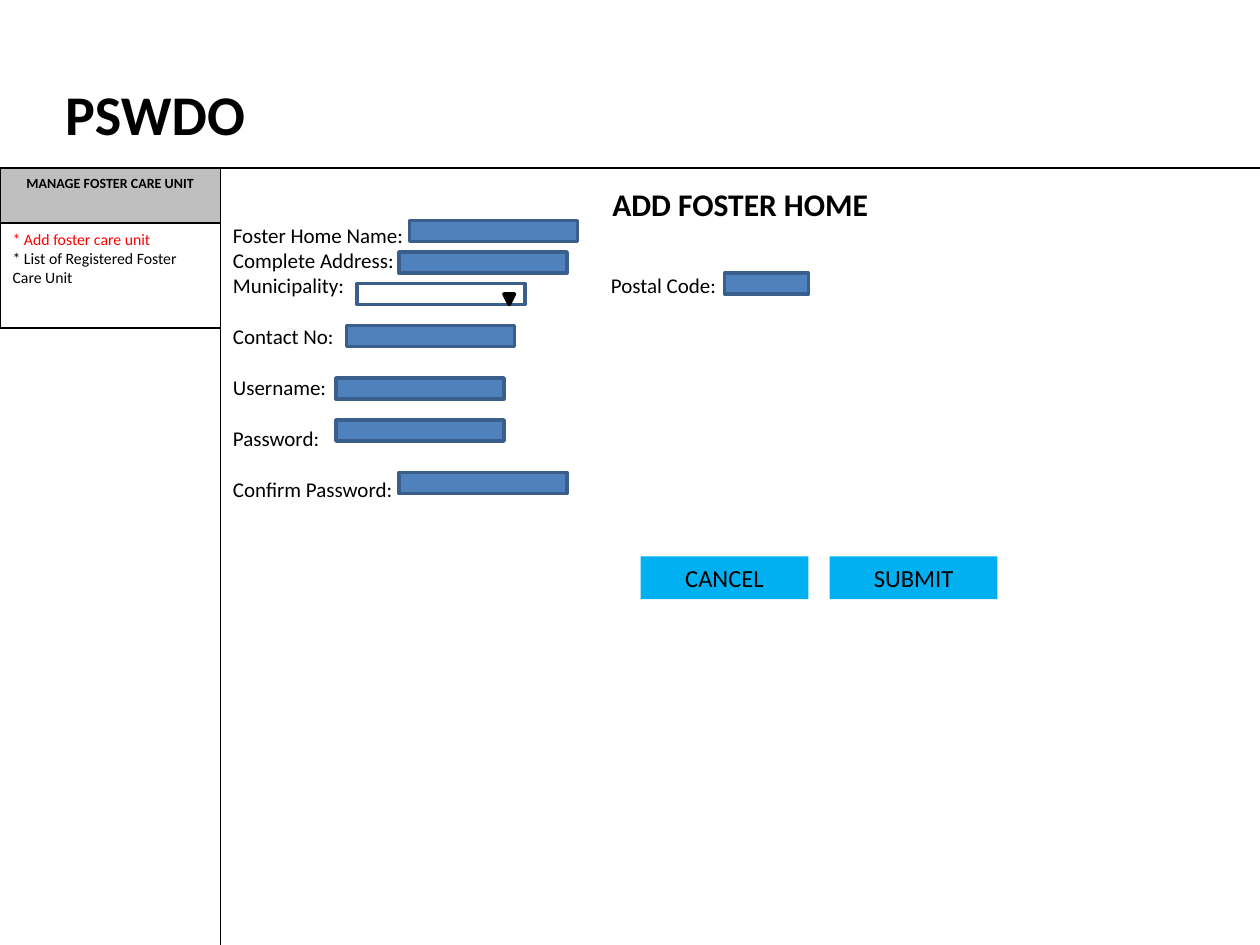
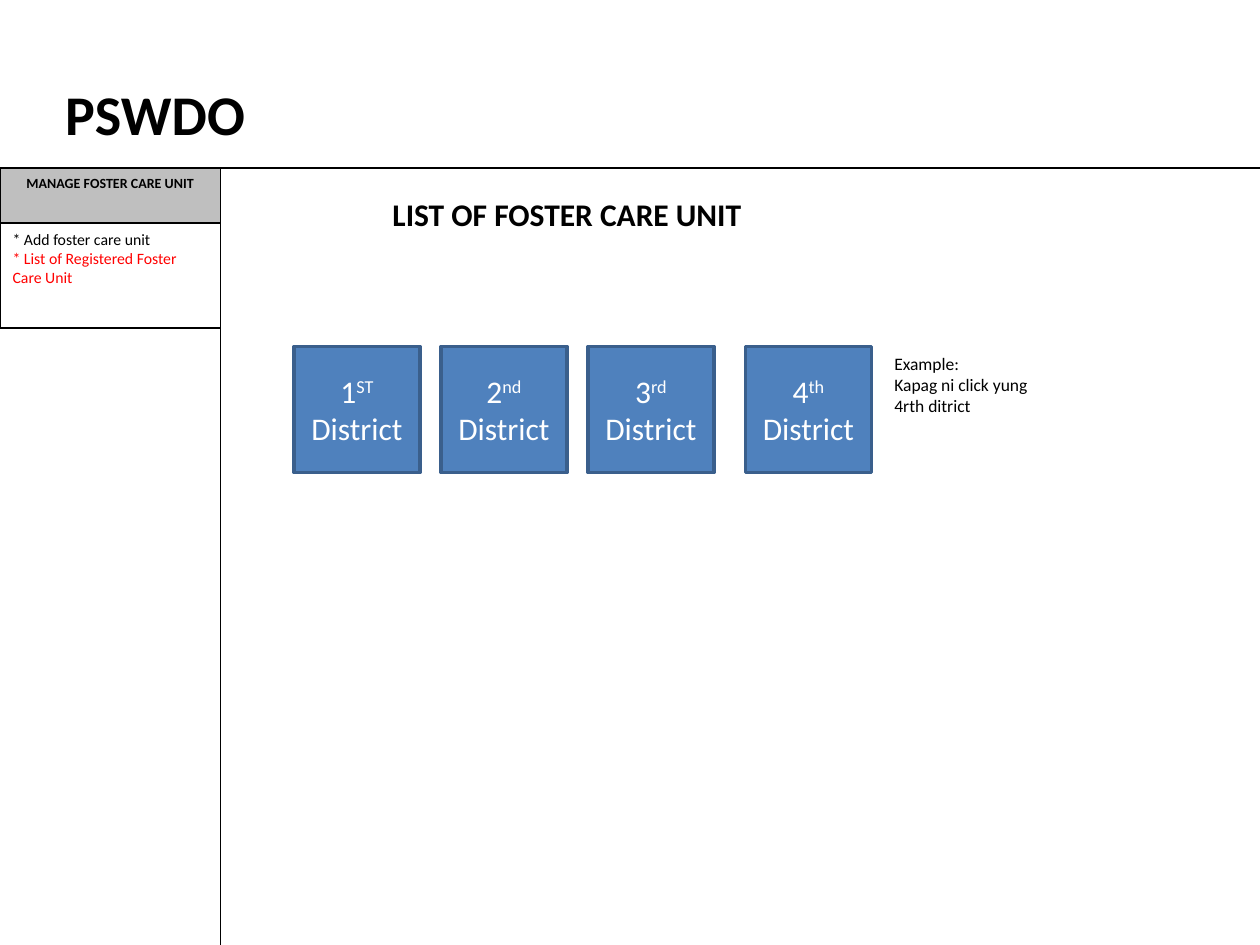
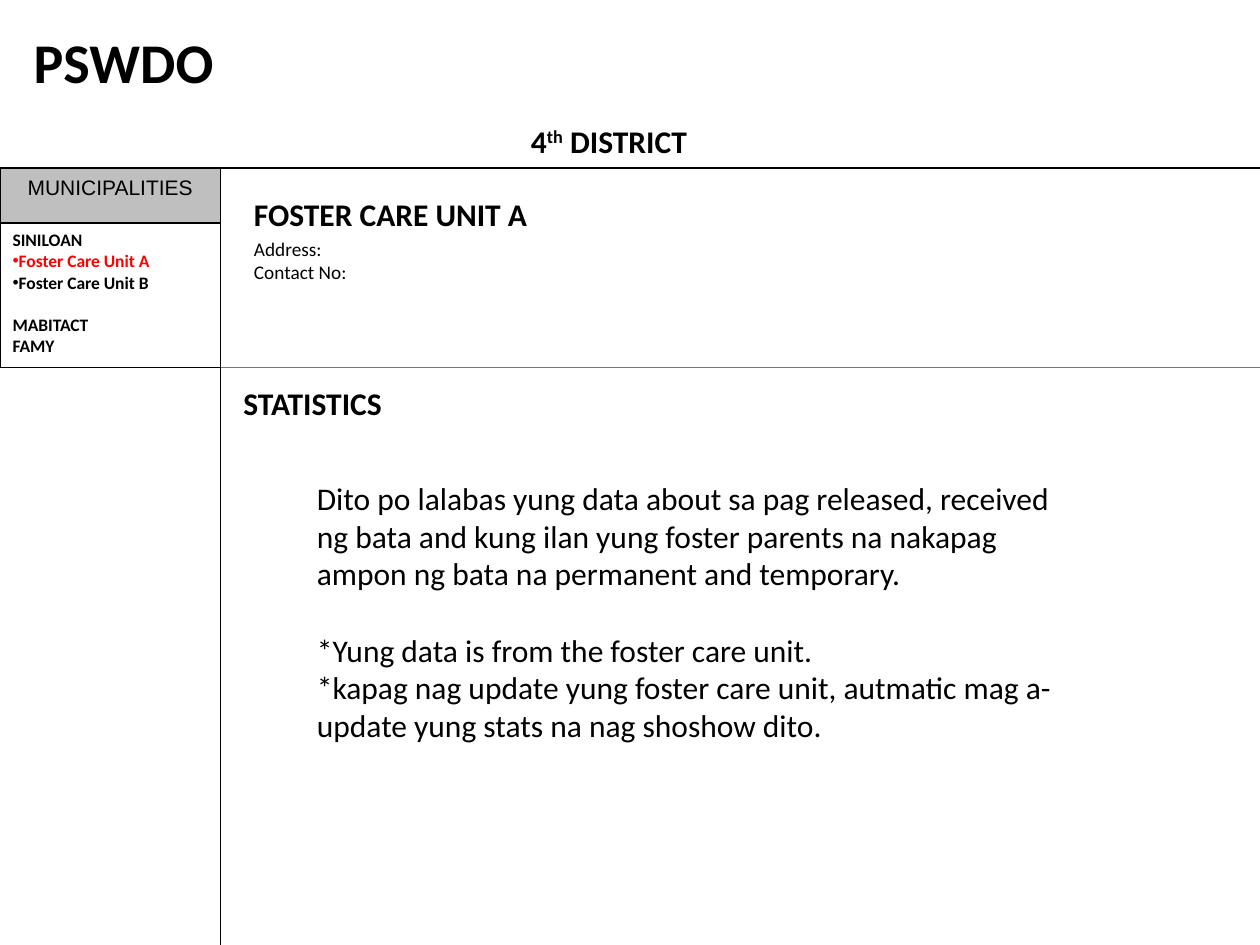
"""Build three PSWDO foster care wireframe slides."""
from pptx import Presentation
from pptx.dml.color import RGBColor
from pptx.enum.shapes import MSO_CONNECTOR, MSO_SHAPE
from pptx.enum.text import MSO_ANCHOR, MSO_AUTO_SIZE, PP_ALIGN
from pptx.oxml.ns import qn
from pptx.util import Pt
from lxml.etree import SubElement

BLACK, WHITE, RED, GREY = "000000", "FFFFFF", "FF0000", "BFBFBF"
BLUE, DARK_BLUE, RULE_BLUE, BUTTON_BLUE = "4F81BD", "3A5F8C", "4B7EBC", "00B0F0"
SIDEBAR, BAND_TOP, BAND_HEIGHT, WIDTH, HEIGHT = 126, 96, 31.5, 720, 540
LEFT, CENTER, JUSTIFY = PP_ALIGN.LEFT, PP_ALIGN.CENTER, PP_ALIGN.JUSTIFY


def paint(shape, fill, line=None, width=0.75):
    shape.shadow.inherit = False
    shape.fill.solid()
    shape.fill.fore_color.rgb = RGBColor.from_string(fill)
    if line:
        shape.line.color.rgb = RGBColor.from_string(line)
        shape.line.width = Pt(width)
    else:
        shape.line.fill.background()


def write(shape, lines, size, bold=False, align=LEFT, color=BLACK,
          font="Calibri", anchor=MSO_ANCHOR.TOP):
    frame = shape.text_frame
    frame.word_wrap = True
    frame.auto_size = MSO_AUTO_SIZE.NONE
    frame.vertical_anchor = anchor
    for number, line in enumerate(lines):
        paragraph = frame.add_paragraph() if number else frame.paragraphs[0]
        paragraph.alignment = align
        paragraph.space_before = Pt(0)
        for part, words in enumerate(line.split("^")):
            run = paragraph.add_run()
            run.text = words
            run.font.name = font
            run.font.size = Pt(size)
            run.font.bold = bold
            run.font.color.rgb = RGBColor.from_string(color)
            if part % 2:
                run.font._element.set("baseline", "30000")
    return frame.paragraphs


deck = Presentation()
deck.slide_width, deck.slide_height = Pt(WIDTH), Pt(HEIGHT)

unit_band = ("MANAGE FOSTER CARE UNIT", 8, True, "Calibri")
unit_menu = ["* Add foster care unit", "* List of Registered Foster Care Unit"]
town_band = ("MUNICIPALITIES", 12, False, "Arial")
town_menu = ["SINILOAN", "Foster Care Unit A", "Foster Care Unit B", "MABITACT", "FAMY"]
frame_rules = [(SIDEBAR, BAND_TOP, SIDEBAR, HEIGHT, BLACK), (0, BAND_TOP, WIDTH, BAND_TOP, BLACK)]
unit_rule = (SIDEBAR, 210, WIDTH, 210, RULE_BLUE)

pages = [
    ((30, 42), unit_band, unit_menu, 9, False, 0, 60, frame_rules),
    ((30, 42), unit_band, unit_menu, 9, False, 1, 60, frame_rules),
    ((12, 12), town_band, town_menu, 10, True, 1, 82.5, frame_rules + [unit_rule]),
]
slides, menus = [], []
for (left, top), band, entries, size, bold, current, depth, rules in pages:
    slide = deck.slides.add_slide(deck.slide_layouts[1])
    slides.append(slide)
    title, menu = slide.placeholders
    title.left, title.top, title.width, title.height = Pt(left), Pt(top), Pt(216), Pt(46)
    write(title, ["PSWDO"], 32, True)

    menu.left, menu.top = Pt(0), Pt(BAND_TOP + BAND_HEIGHT)
    menu.width, menu.height = Pt(SIDEBAR), Pt(depth)
    menu.fill.solid()
    menu.fill.fore_color.rgb = RGBColor.from_string(WHITE)
    menu.line.color.rgb = RGBColor.from_string(BLACK)
    menu.line.width = Pt(0.75)
    menu_lines = write(menu, entries, size, bold)
    menu_lines[current].runs[0].font.color.rgb = RGBColor.from_string(RED)
    for entry in menu_lines:
        properties = entry._p.get_or_add_pPr()
        properties.set("marL", "0")
        properties.set("indent", "0")
        if entry.text.startswith("Foster"):
            SubElement(properties, qn("a:buChar")).set("char", "•")
        else:
            SubElement(properties, qn("a:buNone"))
    menus.append(menu_lines)

    heading, heading_size, heading_bold, heading_font = band
    sidebar_band = slide.shapes.add_shape(
        MSO_SHAPE.RECTANGLE, Pt(0), Pt(BAND_TOP), Pt(SIDEBAR), Pt(BAND_HEIGHT))
    paint(sidebar_band, GREY, BLACK)
    write(sidebar_band, [heading], heading_size, heading_bold, CENTER, font=heading_font)

    for x1, y1, x2, y2, color in rules:
        rule = slide.shapes.add_connector(MSO_CONNECTOR.STRAIGHT, Pt(x1), Pt(y1), Pt(x2), Pt(y2))
        rule.line.color.rgb = RGBColor.from_string(color)
        rule.line.width = Pt(0.75)
        SubElement(rule._element.spPr, qn("a:effectLst"))

add_home, unit_list, district = slides
menus[2][3].space_before = Pt(12.2)

form = add_home.shapes.add_textbox(Pt(SIDEBAR), Pt(102), Pt(594), Pt(252))
write(form, ["ADD FOSTER HOME"], 18, True, CENTER)
labels = ["Foster Home Name:", "Complete Address:", "Municipality:\tPostal Code:",
          "Contact No:", "Username:", "Password:", "Confirm Password:"]
for number, label in enumerate(labels):
    field_line = form.text_frame.add_paragraph()
    field_line.alignment = JUSTIFY
    field_line.space_before = Pt(14.65 if number > 2 else 0)
    run = field_line.add_run()
    run.text = label
    run.font.name = "Calibri"
    run.font.size = Pt(12)
    run.font.color.rgb = RGBColor.from_string(BLACK)
    if "\t" in label:
        tabs = SubElement(field_line._p.get_or_add_pPr(), qn("a:tabLst"))
        stop = SubElement(tabs, qn("a:tab"))
        stop.set("pos", str(Pt(216)))
        stop.set("algn", "l")

fields = [(234, 126, 96, BLUE), (228, 144, 96, BLUE), (204, 162, 96, WHITE),
          (198, 186, 96, BLUE), (414, 156, 48, BLUE), (192, 216, 96, BLUE),
          (192, 240, 96, BLUE), (228, 270, 96, BLUE)]
for left, top, width, fill in fields:
    field = add_home.shapes.add_shape(MSO_SHAPE.RECTANGLE, Pt(left), Pt(top), Pt(width), Pt(12))
    paint(field, fill, DARK_BLUE, 2)
dropdown = add_home.shapes.add_shape(MSO_SHAPE.FLOWCHART_MERGE, Pt(288), Pt(168), Pt(6), Pt(6))
paint(dropdown, BLACK, BLACK, 2)

for left, caption in [(366, "CANCEL"), (474, "SUBMIT")]:
    button = add_home.shapes.add_shape(MSO_SHAPE.RECTANGLE, Pt(left), Pt(318), Pt(96), Pt(24.5))
    paint(button, BUTTON_BLUE)
    write(button, [caption], 14, align=CENTER)

for left, ordinal in [(168, "1^ST"), (252, "2^nd"), (336, "3^rd"), (426, "4^th")]:
    tile = unit_list.shapes.add_shape(MSO_SHAPE.RECTANGLE, Pt(left), Pt(198), Pt(72), Pt(72))
    paint(tile, BLUE, DARK_BLUE, 2)
    write(tile, [ordinal + "^ District"], 18, align=CENTER, color=WHITE, anchor=MSO_ANCHOR.MIDDLE)

statistics = [
    "Dito po lalabas yung data about sa pag released, received ng bata and kung ilan yung "
    "foster parents na nakapag ampon ng bata na permanent and temporary.",
    "*Yung data is from the foster care unit.",
    "*kapag nag update yung foster care unit, autmatic mag a-update yung stats na nag "
    "shoshow dito.",
]
passages = [
    (unit_list, (186, 108, 276, 29), ["LIST OF FOSTER CARE UNIT"], 18, True, CENTER),
    (unit_list, (504, 198, 96, 44), ["Example:", "Kapag ni click yung 4rth ditrict"], 10, False, LEFT),
    (district, (210, 66, 276, 29), ["4^th^ DISTRICT"], 18, True, CENTER),
    (district, (138, 108, 336, 29), ["FOSTER CARE UNIT A"], 18, True, LEFT),
    (district, (138, 132, 312, 34), ["Address:", "Contact No:"], 11, False, LEFT),
    (district, (132, 216, 150, 29), ["STATISTICS"], 18, True, LEFT),
    (district, (174, 270, 450, 204), statistics, 18, False, LEFT),
]
for slide, place, lines, size, bold, align in passages:
    passage = slide.shapes.add_textbox(*map(Pt, place))
    passage_lines = write(passage, lines, size, bold, align)
    if lines is statistics:
        passage_lines[1].space_before = Pt(22)

deck.save("out.pptx")
